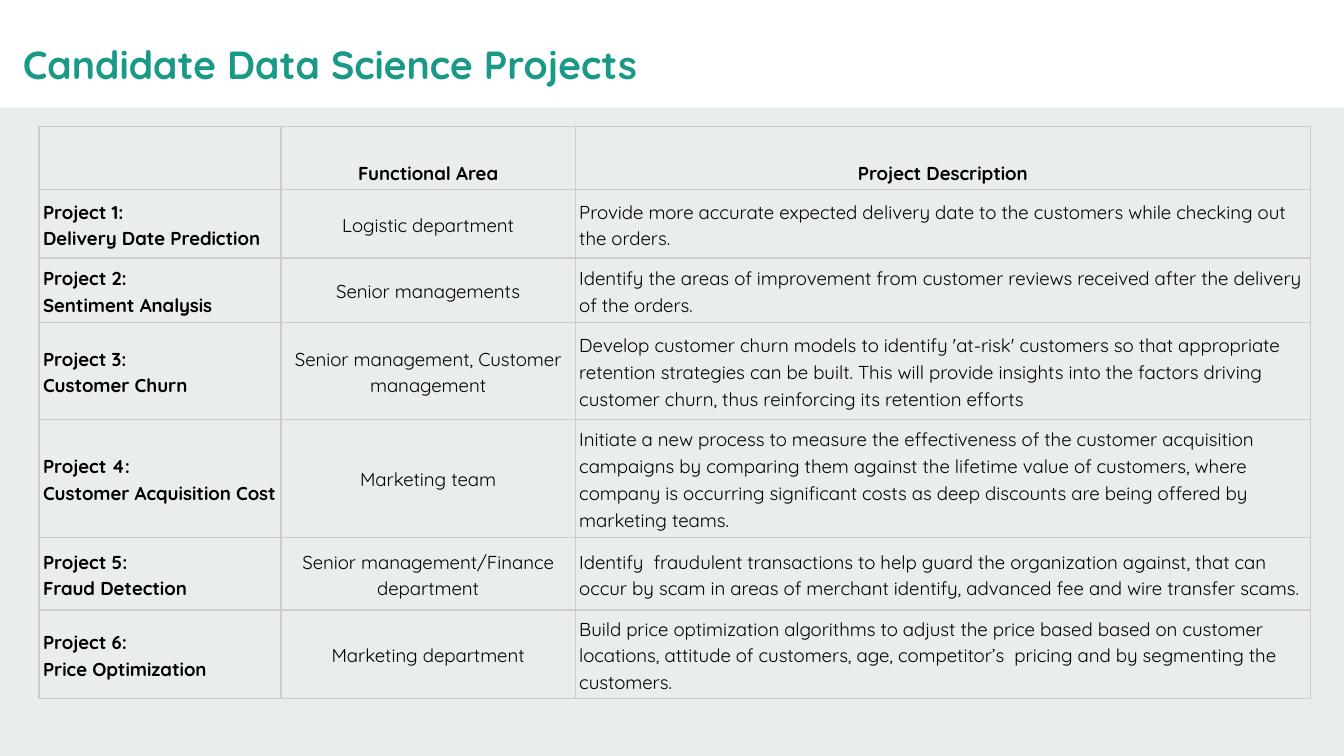
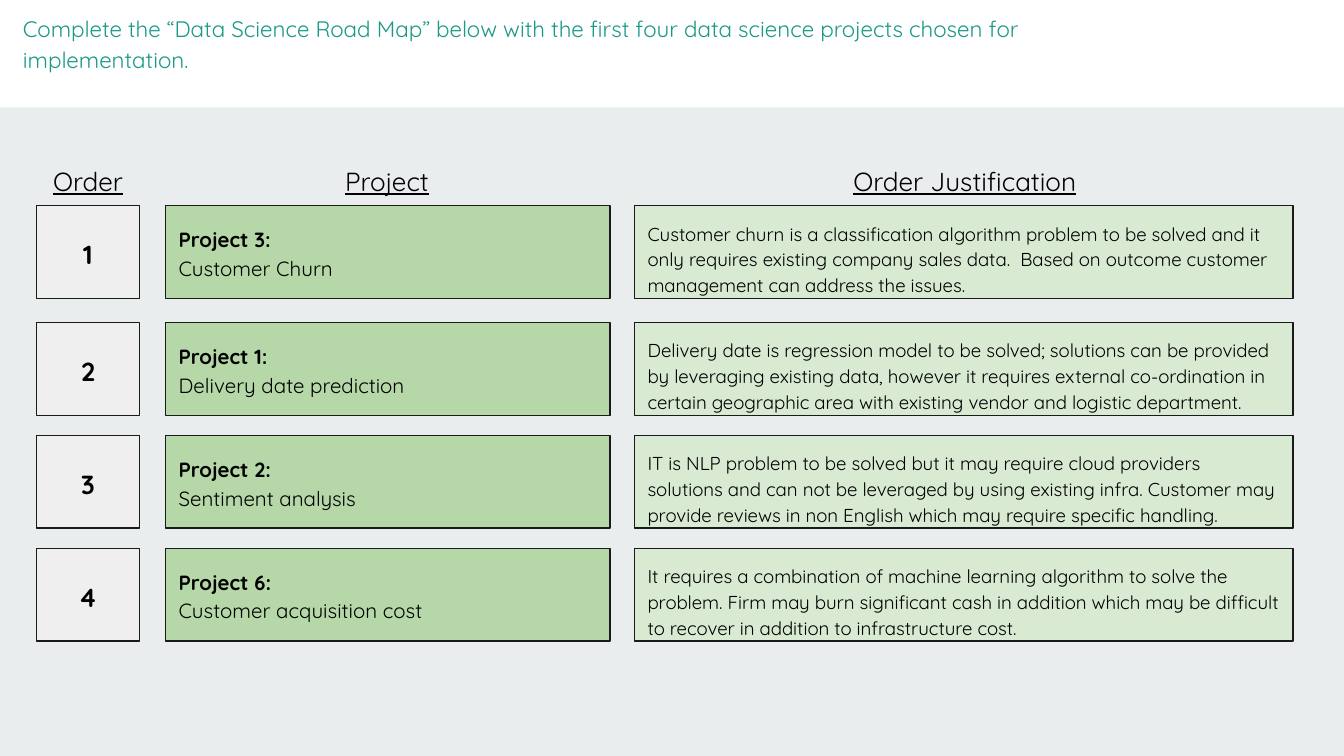
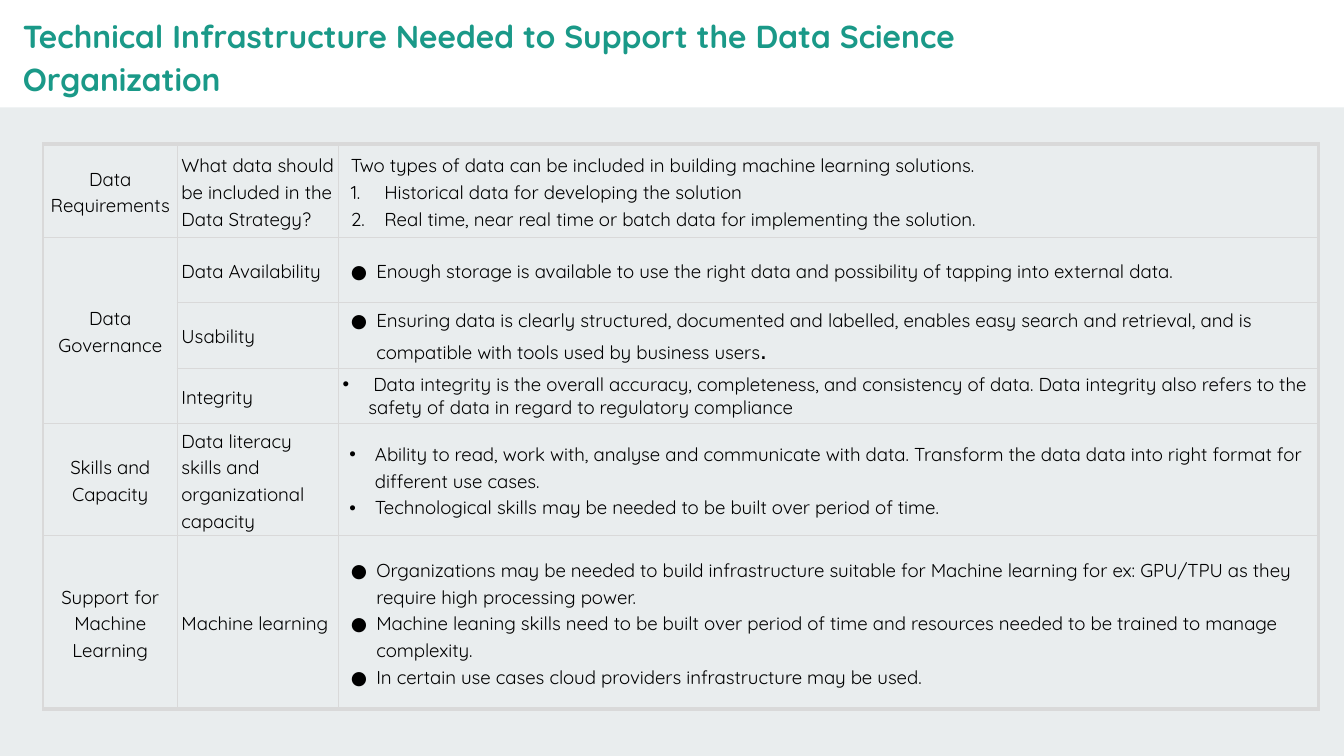
from dataclasses import dataclass

from lxml import etree
from pptx import Presentation
from pptx.dml.color import RGBColor
from pptx.enum.shapes import MSO_SHAPE as Shape
from pptx.enum.text import MSO_ANCHOR as Anchor, MSO_AUTO_SIZE as AutoSize, PP_ALIGN as Align
from pptx.oxml.ns import qn
from pptx.util import Inches, Pt

FONT = "Quicksand"
BULLET_FONTS = {"●": FONT, "•": "Arial"}
LINE_SPACING = 1.15
COLORS = {
    "background": "E9EDEE",
    "band": "FFFFFF",
    "title": "1A9988",
    "text": "000000",
    "outline": "1A1A1A",
    "order": "EFEFEF",
    "project": "B6D7A8",
    "reason": "D9EAD3",
    "project_grid": "CCCCCC",
    "infrastructure_grid": "D9D9D9",
}


@dataclass
class Box:
    left: float
    top: float
    width: float
    height: float

    def inches(self):
        return [Inches(value) for value in (self.left, self.top, self.width, self.height)]

    def inner(self, left, top, width, height):
        return Box(self.left + left, self.top + top, width, height)


@dataclass
class Text:
    content: str
    size: float = 10
    bold: bool = False
    underline: bool = False
    color: str = "text"
    font: str = FONT
    align: Align = Align.LEFT
    spacing: float = LINE_SPACING
    bullet: str = ""
    margin: float = 0
    indent: float = 0
    tail: "Text" = None


def rgb(name):
    return RGBColor.from_string(COLORS[name])


def add_run(paragraph, text):
    run = paragraph.add_run()
    run.text = text.content
    font = run.font
    font.name, font.size = text.font, Pt(text.size)
    font.bold, font.underline = text.bold, text.underline
    font.color.rgb = rgb(text.color)


def set_bullet(paragraph, text):
    properties = paragraph._p.get_or_add_pPr()
    properties.set("marL", str(Inches(text.margin)))
    properties.set("indent", str(Inches(text.indent)))
    if not text.bullet:
        return
    color = etree.SubElement(properties, qn("a:buClr"))
    etree.SubElement(color, qn("a:srgbClr"), val=COLORS["text"])
    etree.SubElement(properties, qn("a:buFont"), typeface=BULLET_FONTS.get(text.bullet, FONT))
    if text.bullet == "1.":
        etree.SubElement(properties, qn("a:buAutoNum"), type="arabicPeriod")
    else:
        etree.SubElement(properties, qn("a:buChar"), char=text.bullet)


def write(frame, texts):
    for index, text in enumerate(texts):
        paragraph = frame.add_paragraph() if index else frame.paragraphs[0]
        paragraph.alignment = text.align
        paragraph.line_spacing = text.spacing
        set_bullet(paragraph, text)
        for part in filter(None, (text, text.tail)):
            add_run(paragraph, part)


def write_shape(shape, texts, anchor=Anchor.MIDDLE):
    frame = shape.text_frame
    frame.word_wrap = True
    frame.auto_size = AutoSize.NONE
    frame.vertical_anchor = anchor
    frame.margin_left = frame.margin_right = Inches(0.1)
    frame.margin_top = frame.margin_bottom = Inches(0.1)
    write(frame, texts)


def add_rectangle(slide, box, fill, line=None):
    shape = slide.shapes.add_shape(Shape.RECTANGLE, *box.inches())
    shape.shadow.inherit = False
    shape.fill.solid()
    shape.fill.fore_color.rgb = rgb(fill)
    if line:
        shape.line.color.rgb = rgb(line)
        shape.line.width = Pt(0.75)
    else:
        shape.line.fill.background()
    return shape


def set_master(presentation, slide):
    master = presentation.slide_master
    master.background.fill.solid()
    master.background.fill.fore_color.rgb = rgb("background")
    band = add_rectangle(slide, Box(0, 0, 10, 0.8), "band")
    master.shapes.element.insert(2, band.element)


def add_slide(presentation, title, size, bold, top=-0.02):
    slide = presentation.slides.add_slide(presentation.slide_layouts[5])
    shape = slide.shapes.title
    shape.left, shape.top, shape.width, shape.height = Box(0.07, top, 8.44, 0.37).inches()
    write_shape(shape, [Text(title, size, bold, color="title")], Anchor.TOP)
    return slide


def set_borders(cell, color, widths):
    properties = cell._tc.get_or_add_tcPr()
    for side, width in widths.items():
        line = etree.SubElement(properties, qn(f"a:ln{side}"), w=str(Pt(width)))
        fill = etree.SubElement(line, qn("a:solidFill"))
        etree.SubElement(fill, qn("a:srgbClr"), val=COLORS[color])


def add_grid(slide, box, columns, heights, contents, grid, margin_y=0.03, edge=0.75):
    table = slide.shapes.add_table(len(heights), len(columns), *box.inches()).table
    table.first_row = table.horz_banding = False
    for column, width in zip(table.columns, columns):
        column.width = Inches(width)
    for row, height in zip(table.rows, heights):
        row.height = Inches(height)
    for row_index, row in enumerate(contents):
        for column_index, texts in enumerate(row):
            cell = table.cell(row_index, column_index)
            set_borders(cell, grid, {
                "L": 0.75,
                "R": edge if column_index == len(columns) - 1 else 0.75,
                "T": edge if row_index == 0 else 0.75,
                "B": edge if row_index == len(heights) - 1 else 0.75,
            })
            cell.fill.background()
            cell.vertical_anchor = Anchor.MIDDLE
            cell.margin_left = cell.margin_right = Inches(0.03)
            cell.margin_top = cell.margin_bottom = Inches(margin_y)
            write(cell.text_frame, texts)
    return table


def centered(content, **style):
    return [Text(content, align=Align.CENTER, **style)]


def bulleted(*contents, bullet="●", margin=0.25, indent=-0.19):
    return [Text(content, bullet=bullet, margin=margin, indent=indent) for content in contents]


PROJECTS = [
    ("Delivery Date Prediction", "Logistic department",
     "Provide more accurate expected delivery date to the customers while checking out the orders."),
    ("Sentiment Analysis", "Senior managements",
     "Identify the areas of improvement from customer reviews received after the delivery of the orders."),
    ("Customer Churn", "Senior management, Customer management",
     "Develop customer churn models to identify 'at-risk' customers so that appropriate retention "
     "strategies can be built. This will provide insights into the factors driving customer churn, "
     "thus reinforcing its retention efforts"),
    ("Customer Acquisition Cost", "Marketing team",
     "Initiate a new process to measure the effectiveness of the customer acquisition campaigns by "
     "comparing them against the lifetime value of customers, where company is occurring significant "
     "costs as deep discounts are being offered by marketing teams."),
    ("Fraud Detection", "Senior management/Finance department",
     "Identify  fraudulent transactions to help guard the organization against, that can occur by scam "
     "in areas of merchant identify, advanced fee and wire transfer scams."),
    ("Price Optimization", "Marketing department",
     "Build price optimization algorithms to adjust the price based based on customer locations, "
     "attitude of customers, age, competitor’s  pricing and by segmenting the customers."),
]

ROAD_MAP = [
    ("Project 3:", "Customer Churn",
     "Customer churn is a classification algorithm problem to be solved and it only requires existing "
     "company sales data.  Based on outcome customer management can address the issues."),
    ("Project 1:", "Delivery date prediction",
     "Delivery date is regression model to be solved; solutions can be provided by leveraging existing "
     "data, however it requires external co-ordination in certain geographic area with existing vendor "
     "and logistic department."),
    ("Project 2:", "Sentiment analysis",
     "IT is NLP problem to be solved but it may require cloud providers solutions and can not be "
     "leveraged by using existing infra. Customer may provide reviews in non English which may require "
     "specific handling."),
    ("Project 6:", "Customer acquisition cost",
     "It requires a combination of machine learning algorithm to solve the problem. Firm may burn "
     "significant cash in addition which may be difficult to recover in addition to infrastructure cost."),
]

INFRASTRUCTURE = [
    ("Data Requirements", "What data should be included in the Data Strategy?",
     [Text("Two types of data can be included in building machine learning solutions.", margin=0.06)]
     + bulleted("Historical data for developing the solution",
                "Real time, near real time or batch data for implementing the solution.",
                bullet="1.", margin=0.31, indent=-0.25)),
    ("Data Governance", "Data Availability",
     bulleted("Enough storage is available to use the right data and possibility of tapping into "
              "external data.")),
    ("", "Usability",
     [Text("Ensuring data is clearly structured, documented and labelled, enables easy search and "
           "retrieval, and is compatible with tools used by business users",
           bullet="●", margin=0.25, indent=-0.19, tail=Text(". ", 14, font="Arial"))]),
    ("", "Integrity",
     [Text(" Data integrity is the overall accuracy, completeness, and consistency of data. Data "
           "integrity also refers to the  safety of data in regard to regulatory compliance",
           bullet="•", margin=0.19, indent=-0.19, spacing=1.0)]),
    ("Skills and Capacity", "Data literacy skills and organizational capacity",
     bulleted("Ability to read, work with, analyse and communicate with data. Transform the data data "
              "into right format for different use cases.",
              "Technological skills may be needed to be built over period of time.",
              bullet="•", margin=0.24)),
    ("Support for Machine Learning", "Machine learning",
     bulleted("Organizations may be needed to build infrastructure suitable for Machine learning for "
              "ex: GPU/TPU as they require high processing power.",
              "Machine leaning skills need to be built over period of time and resources needed to be "
              "trained to manage complexity.",
              "In certain use cases cloud providers infrastructure may be used.")),
]


def add_project_table(slide, box):
    headings = [[], centered("Functional Area", bold=True), centered("Project Description", bold=True)]
    rows = [
        [[Text(f"Project {number}:", bold=True), Text(name, bold=True)], centered(area), [Text(description)]]
        for number, (name, area, description) in enumerate(PROJECTS, 1)
    ]
    table = add_grid(slide, box, [1.8, 2.19, 5.47], [0.47, 0.51, 0.48, 0.72, 0.88, 0.54, 0.61],
                     [headings] + rows, "project_grid")
    for cell in table.rows[0].cells:
        cell.vertical_anchor = Anchor.BOTTOM


def add_road_map(slide, box):
    for heading, left, width in (("Order", 0, 0.77), ("Project", 2.13, 0.96),
                                 ("Order Justification", 5.96, 1.9)):
        label = slide.shapes.add_textbox(*box.inner(left, 0, width, 0.37).inches())
        write_shape(label, centered(heading, size=14, underline=True, spacing=1.0))
    row_tops = (0.37, 1.24, 2.08, 2.92)
    for order, (top, (number, name, reason)) in enumerate(zip(row_tops, ROAD_MAP), 1):
        cards = (
            (0, 0.77, "order", centered(str(order), size=14, bold=True), Anchor.MIDDLE),
            (0.96, 3.31, "project", [Text(number, 11, True), Text(name, 11)], Anchor.MIDDLE),
            (4.45, 4.9, "reason", [Text(reason)], Anchor.TOP),
        )
        for left, width, fill, texts, anchor in cards:
            card = add_rectangle(slide, box.inner(left, top, width, 0.69), fill, "outline")
            write_shape(card, texts, anchor)


def add_infrastructure_table(slide, box):
    rows = [
        [centered(area) if area else [], [Text(topic)], details]
        for area, topic, details in INFRASTRUCTURE
    ]
    table = add_grid(slide, box, [1, 1.2, 7.29], [0.7, 0.48, 0.34, 0.41, 0.74, 1.29],
                     rows, "infrastructure_grid", margin_y=0.02, edge=2.25)
    table.cell(1, 0).merge(table.cell(3, 0))


def main():
    presentation = Presentation()
    presentation.slide_width = Inches(10)
    presentation.slide_height = Inches(10) * 9 // 16

    projects = add_slide(presentation, "Candidate Data Science Projects", 21, True, top=0.15)
    set_master(presentation, projects)
    add_project_table(projects, Box(0.29, 0.94, 9.46, 4.22))

    road_map = add_slide(presentation, "Complete the “Data Science Road Map” below with the first four "
                         "data science projects chosen for implementation.", 12, False)
    add_road_map(road_map, Box(0.27, 1.16, 9.36, 3.61))

    infrastructure = add_slide(presentation, "Technical Infrastructure Needed to Support the Data "
                               "Science Organization", 17, True)
    add_infrastructure_table(infrastructure, Box(0.32, 1.07, 9.49, 4.15))

    presentation.save("out.pptx")


if __name__ == "__main__":
    main()
